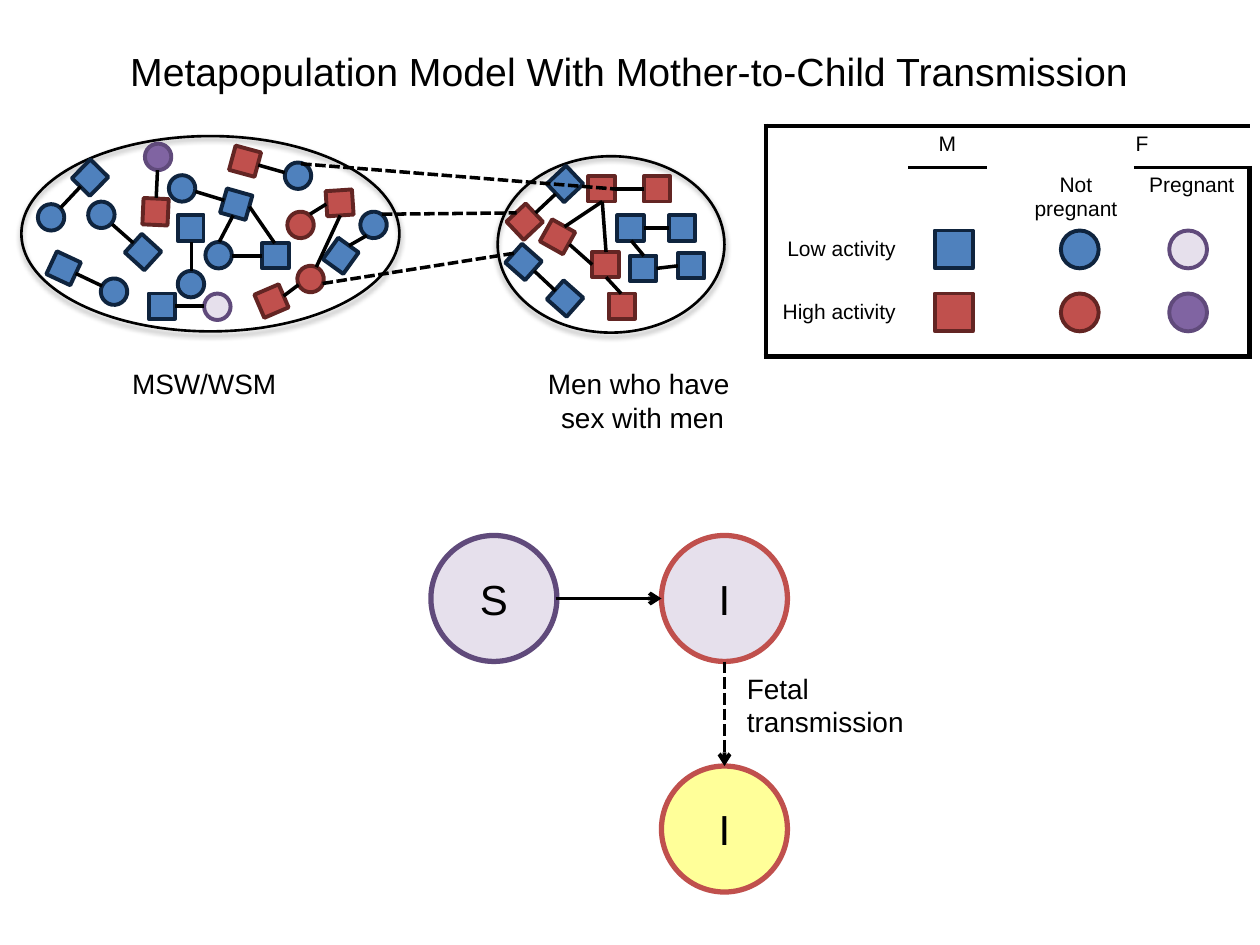
from lxml import etree
from pptx import Presentation
from pptx.dml.color import RGBColor
from pptx.enum.dml import MSO_LINE
from pptx.enum.shapes import MSO_CONNECTOR, MSO_SHAPE
from pptx.enum.text import MSO_ANCHOR, PP_ALIGN
from pptx.oxml import parse_xml
from pptx.oxml.ns import nsdecls, qn
from pptx.util import Inches, Pt

COLORS = {
    "black": "000000", "blue": "4F81BD", "navy": "0F243E", "red": "C0504D",
    "maroon": "632523", "lilac": "E6E0EC", "purple": "8064A2",
    "violet": "604A7B", "yellow": "FFFF99",
}
RECT, OVAL = MSO_SHAPE.RECTANGLE, MSO_SHAPE.OVAL
LOW, HIGH = ("blue", "navy"), ("red", "maroon")
LOW_PREGNANT, HIGH_PREGNANT = ("lilac", "violet"), ("purple", "violet")

prs = Presentation()
prs.slide_width, prs.slide_height = Inches(10), Inches(7.5)
slide = prs.slides.add_slide(prs.slide_layouts[6])
shapes = slide.shapes


def write(frame, text, size=16, align=PP_ALIGN.LEFT, anchor=MSO_ANCHOR.TOP):
    frame.word_wrap = True
    frame.vertical_anchor = anchor
    for i, line in enumerate(text.split("\n")):
        paragraph = frame.paragraphs[0] if i == 0 else frame.add_paragraph()
        paragraph.alignment = align
        run = paragraph.add_run()
        run.text = line
        run.font.name, run.font.size = "Arial", Pt(size)
        run.font.color.rgb = RGBColor.from_string(COLORS["black"])


def outline(kind, box, fill, line, width=2.25, rotation=0):
    shape = shapes.add_shape(kind, *map(Inches, box))
    shape.shadow.inherit = False
    shape.rotation = rotation
    if fill:
        shape.fill.solid()
        shape.fill.fore_color.rgb = RGBColor.from_string(COLORS[fill])
    else:
        shape.fill.background()
    shape.line.color.rgb = RGBColor.from_string(COLORS[line])
    shape.line.width = Pt(width)
    return shape


# Populations: large ellipses with a soft shadow, and their captions
for box in [(0.17, 1.08, 3, 1.55), (3.95, 1.24, 1.8, 1.4)]:
    population = outline(OVAL, box, None, "black", 1.5)
    effects = population._element.spPr.find(qn("a:effectLst"))
    effects.append(parse_xml(
        f'<a:outerShdw {nsdecls("a")} blurRad="{Pt(3.1)}" dist="{Pt(1.8)}" dir="5400000" rotWithShape="0">'
        f'<a:srgbClr val="{COLORS["black"]}"><a:alpha val="35000"/></a:srgbClr></a:outerShdw>'))

for text, box, size, align in [
    ("MSW/WSM", (0.95, 2.86, 1.53, 0.37), 16, PP_ALIGN.LEFT),
    ("Men who have \nsex with men", (4.03, 2.86, 2.14, 0.64), 16, PP_ALIGN.CENTER),
    ("Fetal transmission", (5.83, 5.28, 1.53, 0.64), 16, PP_ALIGN.LEFT),
    ("Metapopulation Model With Mother-to-Child Transmission", (0.5, 0.33, 9, 0.7), 22.4, PP_ALIGN.CENTER),
]:
    write(shapes.add_textbox(*map(Inches, box)).text_frame, text, size, align)

# People: left, top, rotation
people = [
    (RECT, LOW, [
        (5, 2.03, 0), (5.38, 2.01, 0), (4.9, 1.71, 0), (5.31, 1.71, 0),
        (4.38, 1.36, 316.7), (4.05, 1.98, 41.6), (4.38, 2.27, 41.6),
        (2.6, 1.93, 305.8), (2.08, 1.93, 180), (0.61, 1.31, 134.5),
        (0.4, 2.03, 25), (1.03, 1.9, 222.3), (1.18, 2.33, 0),
        (1.77, 1.52, 195.9), (1.41, 1.71, 90)]),
    (RECT, HIGH, [
        (4.32, 1.78, 29.3), (4.7, 2, 0), (4.67, 1.4, 0), (5.11, 1.4, 0),
        (4.83, 2.33, 0), (4.06, 1.66, 316.7), (2.05, 2.29, 336.8),
        (2.59, 1.51, 176.2), (1.84, 1.18, 15.2), (1.13, 1.58, 272.6)]),
    (OVAL, LOW, [
        (2.86, 1.68, 305.8), (1.63, 1.92, 180), (0.3, 1.62, 134.5),
        (0.8, 2.21, 25), (0.7, 1.6, 222.3), (2.26, 1.29, 15.2),
        (1.34, 1.39, 195.9), (1.41, 2.15, 90)]),
    (OVAL, HIGH, [(2.36, 2.11, 336.8), (2.28, 1.68, 176.2)]),
    (OVAL, LOW_PREGNANT, [(1.62, 2.33, 0)]),
    (OVAL, HIGH_PREGNANT, [(1.15, 1.14, 272.6)]),
]
for kind, activity, places in people:
    height = 0.2 if kind == RECT else 0.21
    for left, top, rotation in places:
        outline(kind, (left, top, 0.21, height), *activity, rotation=rotation)

# Model states
for label, left, top, fill, line in [
    ("S", 3.42, 4.25, "lilac", "violet"),
    ("I", 5.25, 4.25, "lilac", "red"),
    ("I", 5.25, 6.08, "yellow", "red"),
]:
    state = outline(OVAL, (left, top, 1, 1), fill, line, 3)
    write(state.text_frame, label, 24, PP_ALIGN.CENTER, MSO_ANCHOR.MIDDLE)

# Partnerships, links between populations, and transitions
partnerships = [
    (5.21, 2.13, 5.38, 2.11), (4.52, 1.94, 4.7, 2.1), (4.88, 1.5, 5.11, 1.5),
    (5.11, 1.81, 5.31, 1.81), (4.25, 1.69, 4.41, 1.54), (4.24, 2.15, 4.41, 2.31),
    (5.01, 1.91, 5.11, 2.03), (4.78, 1.6, 4.48, 1.8), (2.77, 1.95, 2.91, 1.87),
    (2.08, 2.03, 1.84, 2.03), (2.25, 2.35, 2.37, 2.26), (0.64, 1.48, 0.48, 1.65),
    (0.6, 2.17, 0.81, 2.27), (2.59, 1.62, 2.46, 1.7), (1.06, 1.93, 0.89, 1.78),
    (2.05, 1.31, 2.26, 1.37), (1.39, 2.43, 1.62, 2.43), (1.78, 1.59, 1.55, 1.52),
    (1.24, 1.57, 1.25, 1.35), (1.52, 1.92, 1.52, 2.15), (2.51, 2.12, 2.7, 1.71),
    (1.74, 1.92, 1.85, 1.71), (4.78, 1.6, 4.81, 2), (4.81, 2.2, 4.93, 2.33),
    (2.18, 1.93, 1.98, 1.64),
]
bridges = [(2.56, 2.25, 4.08, 2.01), (3.03, 1.7, 4.1, 1.69), (2.39, 1.3, 4.88, 1.5)]
infection = [(4.41, 4.75, 5.25, 4.75)]
fetal_transmission = [(5.75, 5.25, 5.75, 6.08)]
for links, width, dashed, arrow in [
    (partnerships, 2, False, False), (bridges, 2, True, False),
    (infection, 2.25, False, True), (fetal_transmission, 2.25, True, True),
]:
    for ends in links:
        link = shapes.add_connector(MSO_CONNECTOR.STRAIGHT, *map(Inches, ends))
        link.line.color.rgb = RGBColor.from_string(COLORS["black"])
        link.line.width = Pt(width)
        if dashed:
            link.line.dash_style = MSO_LINE.SQUARE_DOT
        if arrow:
            etree.SubElement(link.line._get_or_add_ln(), qn("a:tailEnd"), type="arrow")
        etree.SubElement(link._element.spPr, qn("a:effectLst"))

# Legend table
widths, heights = [1.13, 0.62, 0.25, 0.13, 0.79, 0.92], [0.33, 0.48, 0.5, 0.5]
legend = shapes.add_table(4, 6, Inches(6.08), Inches(1), Inches(sum(widths)), Inches(sum(heights))).table
legend.first_row = legend.horz_banding = False
for column, width in zip(legend.columns, widths):
    column.width = Inches(width)
for row, height in zip(legend.rows, heights):
    row.height = Inches(height)
for row, first in [(0, 2), (0, 4), (1, 3), (2, 3), (3, 3)]:
    legend.cell(row, first).merge(legend.cell(row, first + 1))

entries = {
    (0, 1): ("M", PP_ALIGN.CENTER), (0, 4): ("F", PP_ALIGN.CENTER),
    (1, 3): ("Not pregnant", PP_ALIGN.CENTER), (1, 5): ("Pregnant", PP_ALIGN.CENTER),
    (2, 0): ("Low activity", PP_ALIGN.RIGHT), (3, 0): ("High activity", PP_ALIGN.RIGHT),
}
for r in range(4):
    for c in range(6):
        cell = legend.cell(r, c)
        if (r, c) in entries:
            text, align = entries[r, c]
            write(cell.text_frame, text, 12, align)
        else:
            cell.text_frame.paragraphs[0]._p.get_or_add_endParaRPr().set("sz", "1200")
        rule = 2.25 if c in (1, 5) else 0
        borders = {
            "L": 3 if c == 0 else 0,
            "R": 3 if c == 5 else 0,
            "T": 3 if r == 0 else rule if r == 1 else 0,
            "B": 3 if r == 3 else rule if r == 0 else 0,
        }
        properties = cell._tc.get_or_add_tcPr()
        for side, weight in borders.items():
            border = etree.SubElement(properties, qn(f"a:ln{side}"), w=str(Pt(weight)))
            if weight:
                paint = etree.SubElement(border, qn("a:solidFill"))
                etree.SubElement(paint, qn("a:srgbClr"), val=COLORS["black"])
            else:
                etree.SubElement(border, qn("a:noFill"))
        cell.fill.background()

# Legend symbols
for top, symbols in [(1.83, (LOW, LOW, LOW_PREGNANT)), (2.33, (HIGH, HIGH, HIGH_PREGNANT))]:
    for left, kind, activity in zip((7.42, 8.42, 9.28), (RECT, OVAL, OVAL), symbols):
        outline(kind, (left, top, 0.3, 0.3), *activity)

prs.save("out.pptx")
